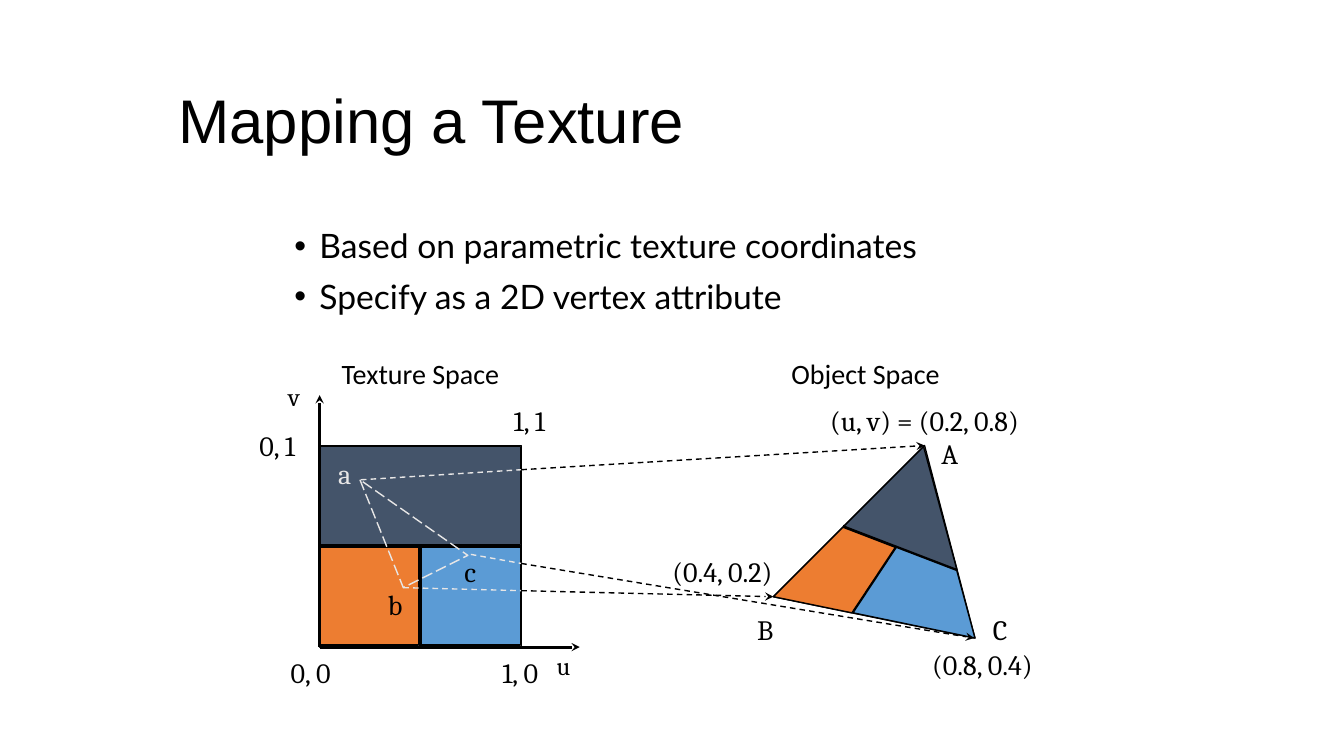
from lxml import etree
from pptx import Presentation, util as u
from pptx.dml.color import RGBColor
from pptx.enum import dml, shapes, text
from pptx.oxml.ns import qn

PX = 9144  # 100 px to the inch
INK = {"black": "000000", "pale": "E7E6E6", "navy": "44546A",
       "orange": "ED7D31", "blue": "5B9BD5"}
DASH, LONG = dml.MSO_LINE.DASH, dml.MSO_LINE.LONG_DASH


def color(name):
    return RGBColor.from_string(INK[name])


def emu(*sizes):
    return [u.Emu(size * PX) for size in sizes]


def stroke(line, ink="black", width=1, dash=None):
    line.color.rgb = color(ink)
    line.width = u.Pt(width)
    if dash:
        line.dash_style = dash


def paint(shape, fill=None, **pen):
    shape.shadow.inherit = False
    if fill:
        shape.fill.solid()
        shape.fill.fore_color.rgb = color(fill)
    else:
        shape.fill.background()
    stroke(shape.line, **pen)
    return shape


def block(slide, box, fill=None):
    kind = shapes.MSO_SHAPE.RECTANGLE
    return paint(slide.shapes.add_shape(kind, *emu(*box)), fill)


def patch(slide, points, fill=None, **pen):
    """Draw a closed polygon through the points."""
    form = slide.shapes.build_freeform(*points[0], scale=PX)
    form.add_line_segments(points[1:], close=True)
    return paint(form.convert_to_shape(), fill, **pen)


def link(slide, start, end, arrow=False, **pen):
    line = slide.shapes.add_connector(
        shapes.MSO_CONNECTOR.STRAIGHT, *emu(*start, *end))
    stroke(line.line, **pen)
    if arrow:
        etree.SubElement(line.line._get_or_add_ln(), qn("a:tailEnd"),
                         type="stealth")
    etree.SubElement(line._element.spPr, qn("a:effectLst"))
    return line


def bullet(para):
    props = para._p.get_or_add_pPr()
    props.set("marL", str(25 * PX))
    props.set("indent", str(-25 * PX))
    etree.SubElement(props, qn("a:buFont"), typeface="Arial")
    etree.SubElement(props, qn("a:buChar"), char="•")


def write(slide, words, box, size=20, font="Cambria", ink="black",
          align=text.PP_ALIGN.CENTER, anchor=text.MSO_ANCHOR.TOP,
          wrap=False, bullets=False, lead=None):
    frame = slide.shapes.add_textbox(*emu(*box)).text_frame
    frame.word_wrap = wrap
    frame.vertical_anchor = anchor
    for i, line in enumerate(words.split("\n")):
        para = frame.paragraphs[0] if i == 0 else frame.add_paragraph()
        para.alignment = align
        if lead:
            para.line_spacing = lead
        if i:
            para.space_before = u.Pt(10)
        if bullets:
            bullet(para)
        run = para.add_run()
        run.text = line
        run.font.size = u.Pt(size)
        run.font.name = font
        run.font.color.rgb = color(ink)


def texture(slide):
    """Draw the unit square with its colours, axes and dividers."""
    for box, fill in [((317, 542, 98, 98), "orange"),
                      ((418, 543, 98, 97), "blue"),
                      ((318, 443, 198, 97), "navy")]:
        block(slide, box, fill)
    square = block(slide, (317, 442, 200, 200))
    for tip in [(317, 392), (575, 642)]:
        link(slide, (317, 642), tip, arrow=True, width=2)
    row = link(slide, (317, 542), (517, 542), width=2)
    row.begin_connect(square, 1)
    row.end_connect(square, 3)
    column = link(slide, (417, 542), (417, 642), width=2)
    column.end_connect(square, 2)
    patch(slide, [(357, 476), (400, 583), (464, 551)], ink="pale", dash=LONG)


def target(slide):
    """Draw the textured triangle ABC."""
    patch(slide, [(917, 442), (767, 592), (967, 633)])
    link(slide, (836, 522), (949, 566), width=2)
    link(slide, (889, 543), (846, 608), width=2)
    patch(slide, [(836, 523), (888, 543), (845, 608), (767, 592)], "orange")
    patch(slide, [(889, 543), (949, 566), (967, 633), (846, 608)], "blue")
    patch(slide, [(837, 522), (916, 443), (949, 565)], "navy")


def rays(slide):
    """Map each texture point to its vertex, pale inside the square."""
    for point, edge, vertex in [((358, 476), (517, 466), (917, 442)),
                                ((400, 583), (517, 586), (767, 592)),
                                ((467, 550), (517, 559), (966, 633))]:
        link(slide, point, edge, ink="pale", dash=DASH)
        link(slide, edge, vertex, arrow=True, dash=DASH)


def labels(slide):
    for words, x, y, w in [
            ("1, 1", 494, 395, 62), ("0, 1", 244, 420, 62),
            ("0, 0", 277, 645, 62), ("1, 0", 485, 645, 62),
            ("(u, v) = (0.2, 0.8)", 807, 395, 220),
            ("(0.4, 0.2)", 655, 545, 123), ("(0.8, 0.4)", 913, 637, 123),
            ("A", 921, 428, 42), ("B", 740, 603, 38), ("C", 972, 603, 40),
            ("b", 374, 578, 36), ("c", 450, 545, 33)]:
        write(slide, words, (x, y, w, 44))
    write(slide, "a", (325, 448, 34, 44), ink="pale")
    write(slide, "u", (541, 640, 36, 40), size=18)
    write(slide, "v", (274, 373, 35, 40), size=18)
    write(slide, "Texture Space", (328, 349, 178, 44), font="Calibri")
    write(slide, "Object Space", (774, 349, 169, 44), font="Calibri")


def main():
    deck = Presentation()
    deck.slide_width, deck.slide_height = emu(1333, 750)
    slide = deck.slides.add_slide(deck.slide_layouts[6])
    left = text.PP_ALIGN.LEFT
    write(slide, "Mapping a Texture", (167, 73, 975, 100), size=44,
          font="Arial", align=left, anchor=text.MSO_ANCHOR.MIDDLE,
          wrap=True, lead=0.9)
    write(slide, "Based on parametric texture coordinates\n"
          "Specify as a 2D vertex attribute", (282, 223, 832, 401), size=24,
          font="Lato", align=left, wrap=True, bullets=True, lead=0.9)
    texture(slide)
    target(slide)
    rays(slide)
    labels(slide)
    deck.save("out.pptx")


if __name__ == "__main__":
    main()
